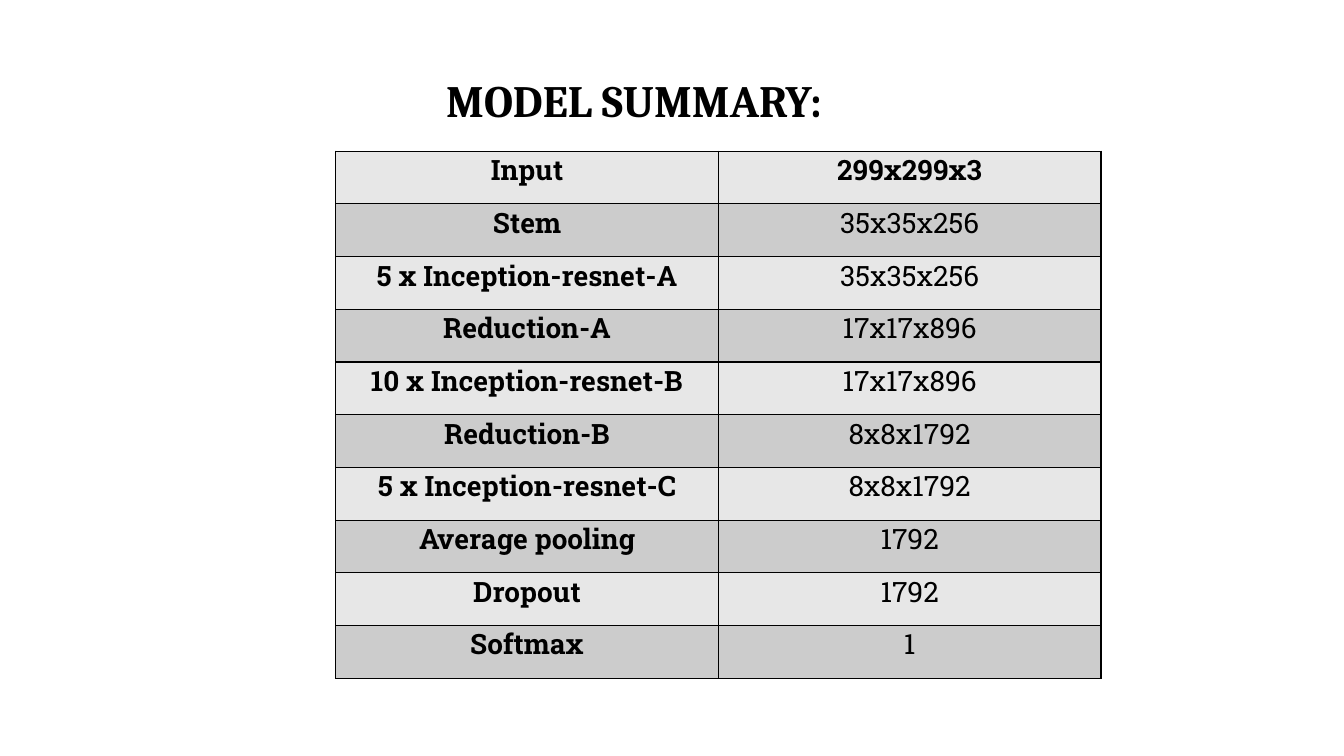
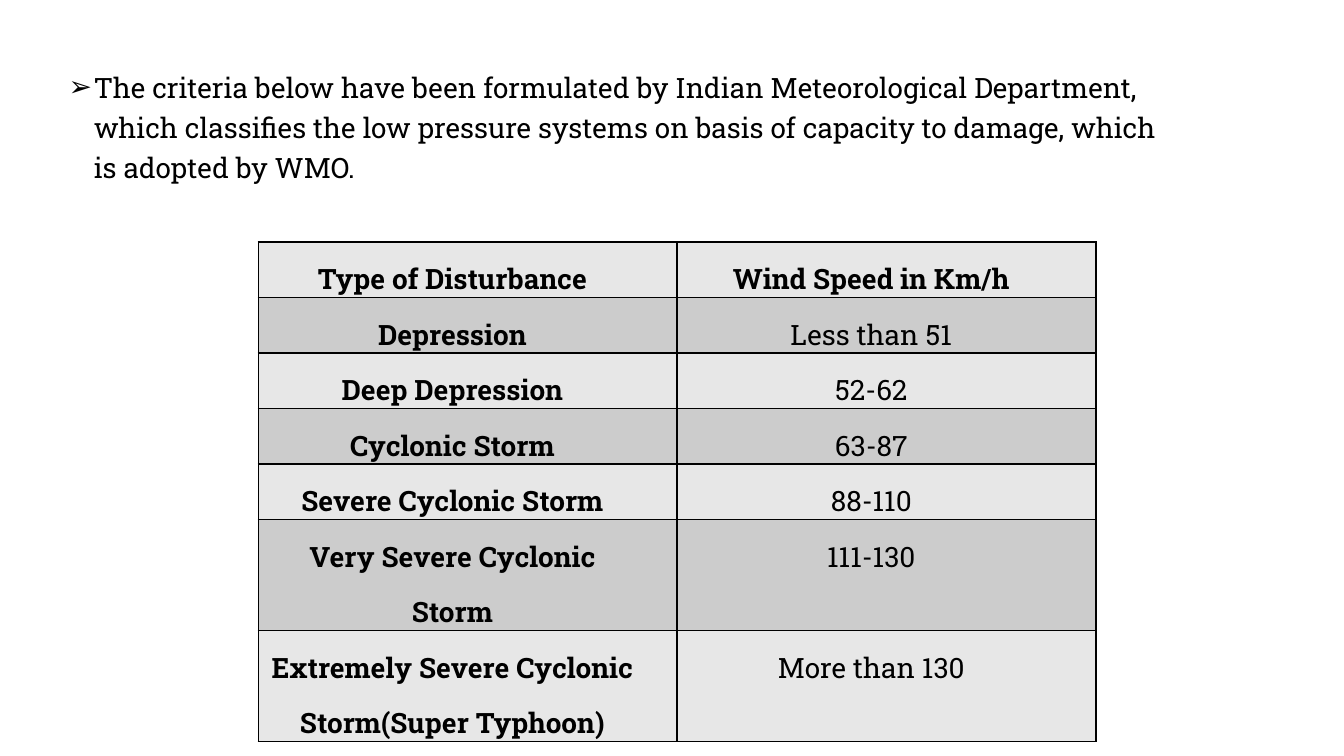
from lxml.etree import SubElement
from pptx import Presentation
from pptx.dml.color import RGBColor
from pptx.enum.text import MSO_ANCHOR, MSO_AUTO_SIZE, PP_ALIGN
from pptx.oxml import parse_xml
from pptx.oxml.ns import nsdecls, qn
from pptx.util import Inches, Pt

# Content
TITLE = "MODEL SUMMARY:"
MODEL_LAYERS = [
    ("Input", "299x299x3"),
    ("Stem", "35x35x256"),
    ("5 x Inception-resnet-A", "35x35x256"),
    ("Reduction-A", "17x17x896"),
    ("10 x Inception-resnet-B", "17x17x896"),
    ("Reduction-B", "8x8x1792"),
    ("5 x Inception-resnet-C", "8x8x1792"),
    ("Average pooling", "1792"),
    ("Dropout", "1792"),
    ("Softmax", "1"),
]
CRITERIA = (
    "The criteria below have been formulated by Indian Meteorological Department, "
    "which classifies the low pressure systems on basis of capacity to damage, "
    "which is adopted by WMO."
)
DISTURBANCES = [
    ("Type of Disturbance", "Wind Speed in Km/h"),
    ("Depression", "Less than 51"),
    ("Deep Depression", "52-62"),
    ("Cyclonic Storm", "63-87"),
    ("Severe Cyclonic Storm", "88-110"),
    ("Very Severe Cyclonic Storm", "111-130"),
    ("Extremely Severe Cyclonic Storm(Super Typhoon)", "More than 130"),
]

# Shared style
BLACK = RGBColor(0, 0, 0)
BANDS = (RGBColor(0xE7, 0xE7, 0xE7), RGBColor(0xCC, 0xCC, 0xCC))
TITLE_FONT, BODY_FONT = "Cambria", "Roboto Slab"
TITLE_ONLY, TITLE_AND_CONTENT = 5, 1


def write(paragraph, text, size, font_name, bold=False):
    run = paragraph.add_run()
    run.text = text
    run.font.size, run.font.name, run.font.bold = Pt(size), font_name, bold
    run.font.color.rgb = BLACK


def place(shape, left, top, width, height):
    shape.left, shape.top = Inches(left), Inches(top)
    shape.width, shape.height = Inches(width), Inches(height)


def add_borders(cell):
    properties = cell._tc.get_or_add_tcPr()
    for index, side in enumerate(("lnL", "lnR", "lnT", "lnB")):
        properties.insert(index, parse_xml(
            f'<a:{side} {nsdecls("a")} w="{Pt(1)}"><a:solidFill>'
            f'<a:srgbClr val="{BLACK}"/></a:solidFill></a:{side}>'))


def add_banded_table(slide, rows, left, top, width, heights, insets, line_spacing):
    """Two equal columns; the first column and the first row are bold."""
    table = slide.shapes.add_table(
        len(rows), 2, Inches(left), Inches(top), Inches(width), Inches(sum(heights))).table
    table.first_row = table.horz_banding = False
    for row_index, (texts, height) in enumerate(zip(rows, heights)):
        table.rows[row_index].height = Inches(height)
        for column_index, text in enumerate(texts):
            cell = table.cell(row_index, column_index)
            cell.margin_left, cell.margin_right = map(Inches, insets)
            cell.margin_top = cell.margin_bottom = 0
            cell.fill.solid()
            cell.fill.fore_color.rgb = BANDS[row_index % 2]
            add_borders(cell)
            paragraph = cell.text_frame.paragraphs[0]
            paragraph.alignment = PP_ALIGN.CENTER
            paragraph.line_spacing = line_spacing
            write(paragraph, text, 20, BODY_FONT, bold=0 in (row_index, column_index))


def build_model_summary(presentation):
    slide = presentation.slides.add_slide(presentation.slide_layouts[TITLE_ONLY])
    title = slide.shapes.title
    place(title, 0.75, 0.67, 11.08, 0.71)
    title.text_frame.auto_size = MSO_AUTO_SIZE.NONE
    title.text_frame.vertical_anchor = MSO_ANCHOR.MIDDLE
    paragraph = title.text_frame.paragraphs[0]
    paragraph.alignment, paragraph.line_spacing = PP_ALIGN.CENTER, 0.9
    write(paragraph, TITLE, 32, TITLE_FONT, bold=True)
    add_banded_table(slide, MODEL_LAYERS, 3.33, 1.5, 7.59,
                     [0.523] * len(MODEL_LAYERS), (0.06, 0.06), 1.0)


def build_wind_criteria(presentation):
    slide = presentation.slides.add_slide(presentation.slide_layouts[TITLE_AND_CONTENT])
    title = slide.shapes.title
    title.element.getparent().remove(title.element)

    # Bulleted introduction
    body = slide.placeholders[1]
    place(body, 0.58, 0.58, 11.08, 1.51)
    body.text_frame.auto_size = MSO_AUTO_SIZE.NONE
    paragraph = body.text_frame.paragraphs[0]
    paragraph.line_spacing, paragraph.space_before = 1.2, Pt(10)
    write(paragraph, CRITERIA, 20, BODY_FONT)
    properties = paragraph._p.get_or_add_pPr()
    properties.set("marL", str(Inches(0.25)))
    properties.set("indent", str(Inches(-0.25)))
    SubElement(properties, qn("a:buChar")).set("char", "➢")

    # The wider right inset keeps the text left of the column centre
    add_banded_table(slide, DISTURBANCES, 2.56, 2.4, 8.31,
                     [0.4] * 6 + [0.85], (0.1, 0.4), 1.5)


def main():
    presentation = Presentation()
    presentation.slide_width, presentation.slide_height = Inches(13.33), Inches(7.5)
    build_model_summary(presentation)
    build_wind_criteria(presentation)
    presentation.save("out.pptx")


if __name__ == "__main__":
    main()
